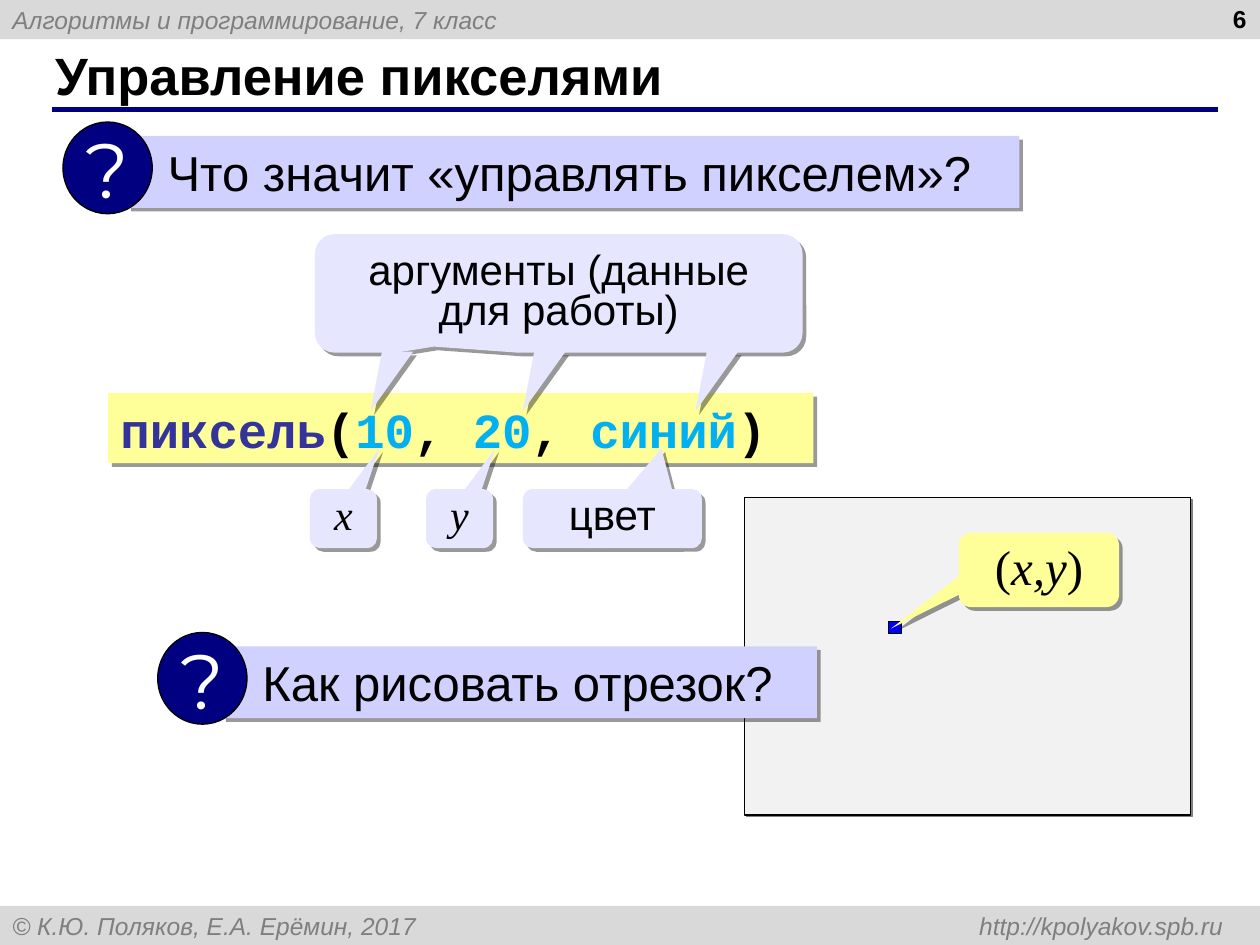
from lxml import etree
from pptx import Presentation
from pptx.dml.color import RGBColor
from pptx.enum.shapes import MSO_CONNECTOR, MSO_SHAPE
from pptx.enum.text import MSO_ANCHOR, PP_ALIGN
from pptx.oxml.ns import qn
from pptx.util import Cm, Pt

RECT, OVAL = MSO_SHAPE.RECTANGLE, MSO_SHAPE.OVAL
CALLOUT = MSO_SHAPE.ROUNDED_RECTANGULAR_CALLOUT
TOP, MIDDLE = MSO_ANCHOR.TOP, MSO_ANCHOR.MIDDLE
LEFT, CENTER, RIGHT = PP_ALIGN.LEFT, PP_ALIGN.CENTER, PP_ALIGN.RIGHT

BLACK, WHITE = RGBColor(0, 0, 0), RGBColor(255, 255, 255)
BAND, GREY = RGBColor(0xD9, 0xD9, 0xD9), RGBColor(0x7F, 0x7F, 0x7F)
NAVY, BLUE = RGBColor(0, 0, 0x80), RGBColor(0, 0, 0xFF)
LILAC, PALE = RGBColor(0xD1, 0xD1, 0xFF), RGBColor(0xE6, 0xE6, 0xFF)
YELLOW, SCREEN = RGBColor(0xFF, 0xFF, 0x99), RGBColor(0xF2, 0xF2, 0xF2)
COMMAND, VALUE = RGBColor(0x33, 0x33, 0x99), RGBColor(0, 0xB0, 0xF0)
SOFT = ("000000", 40, 3)        # shadow: colour, opacity in %, distance in pt
HARD = ("808080", 100, 1.4)
SANS, SERIF, MONO = "Arial", "Times New Roman", "Courier New"

# Lengths are in centimetres
WIDTH, HEIGHT, BAND_HEIGHT = 25.4, 19.05, 0.79
HEADER = "Алгоритмы и программирование, 7 класс"
FOOTER = "© К.Ю. Поляков, Е.А. Ерёмин, 2017 \thttp://kpolyakov.spb.ru"
TITLE, NUMBER = "Управление пикселями", "6"
FOOTER_TAB = 24.41

# text, left and top of the badge, width of the bar
QUESTIONS = [("Что значит «управлять пикселем»?", 1.27, 2.46, 17.98),
             ("Как рисовать отрезок?", 3.18, 12.75, 11.99)]
CODE = [("пиксель", COMMAND), ("(", BLACK), ("10", VALUE), (", ", BLACK),
        ("20", VALUE), (", ", BLACK), ("синий", VALUE), (")", BLACK)]
ARGUMENTS = "аргументы (данные для работы)"
POINTER_LEFTS = [7.47, 10.54, 14.02]
# text, left, width, tip, font, italic
LABELS = [("x", 6.25, 1.35, 0.537, SERIF, True),
          ("y", 8.59, 1.35, 0.537, SERIF, True),
          ("цвет", 10.54, 3.61, 0.274, SANS, False)]
POINT = [("(", False), ("x,y", True), (")", False)]


def paint(sp, fill, line=None, shadow=None):
    """Set fill, line as (colour, pt) and shadow of a shape."""
    sp.fill.solid()
    sp.fill.fore_color.rgb = fill
    if line:
        sp.line.color.rgb, sp.line.width = line[0], Pt(line[1])
    else:
        sp.line.fill.background()
    sp.shadow.inherit = False
    if shadow:
        color, opacity, distance = shadow
        effects = sp._element.spPr.find(qn("a:effectLst"))
        outer = etree.SubElement(effects, qn("a:outerShdw"), dist=str(Pt(distance)),
                                 dir="2700000", algn="ctr", rotWithShape="0")
        clr = etree.SubElement(outer, qn("a:srgbClr"), val=color)
        etree.SubElement(clr, qn("a:alpha"), val=str(opacity * 1000))


def add_box(s, kind, box, fill, line=None, shadow=None, tip=None):
    sp = s.shapes.add_shape(kind, *map(Cm, box))
    paint(sp, fill, line, shadow)
    if tip:
        sp.adjustments[0], sp.adjustments[1] = tip
    return sp


def write(sp, runs, size, font=SANS, align=LEFT, anchor=MIDDLE, spacing=None):
    """Write runs given as (text, colour, bold, italic)."""
    tf = sp.text_frame
    tf.word_wrap = True
    tf.vertical_anchor = anchor
    p = tf.paragraphs[0]
    p.alignment = align
    if spacing:
        p.line_spacing = spacing
    for text, color, bold, italic in runs:
        r = p.add_run()
        r.text = text
        r.font.name, r.font.size = font, Pt(size)
        r.font.bold, r.font.italic = bold, italic
        r.font.color.rgb = color
    return tf


def add_band(s, top, text):
    sp = add_box(s, RECT, (0, top, WIDTH, BAND_HEIGHT), BAND)
    return write(sp, [(text, GREY, False, True)], 14)


def add_question(s, text, left, top, width):
    bar = add_box(s, RECT, (left + 1.3, top + 0.28, width, 1.45), LILAC, shadow=SOFT)
    tf = write(bar, [(text, BLACK, False, False)], 28, anchor=TOP)
    tf.margin_left = Cm(0.81)
    badge = add_box(s, OVAL, (left, top, 1.8, 1.85), NAVY, (BLACK, 0.75))
    tf = write(badge, [("?", WHITE, False, False)], 44, "Montserrat", CENTER)
    tf.word_wrap = False


def add_pointer(s, left, top=7.09):
    builder = s.shapes.build_freeform(Cm(left + 0.23), Cm(top))
    builder.add_line_segments([(Cm(left), Cm(top + 1.2)), (Cm(left + 0.86), Cm(top))])
    paint(builder.convert_to_shape(), PALE, shadow=SOFT)


prs = Presentation()
prs.slide_width, prs.slide_height = Cm(WIDTH), Cm(HEIGHT)
s = prs.slides.add_slide(prs.slide_layouts[6])

add_band(s, 0, HEADER)
footer = add_band(s, HEIGHT - BAND_HEIGHT, FOOTER)
tabs = etree.SubElement(footer.paragraphs[0]._p.get_or_add_pPr(), qn("a:tabLst"))
etree.SubElement(tabs, qn("a:tab"), pos=str(Cm(FOOTER_TAB)), algn="r")

rule = s.shapes.add_connector(MSO_CONNECTOR.STRAIGHT,
                              Cm(1.04), Cm(2.21), Cm(24.56), Cm(2.21))
rule.line.color.rgb, rule.line.width = NAVY, Pt(3)
etree.SubElement(rule._element.spPr, qn("a:effectLst"))

title = s.shapes.add_textbox(Cm(0.86), Cm(0.84), Cm(23.27), Cm(1.32))
write(title, [(TITLE, BLACK, True, False)], 30)
number = s.shapes.add_textbox(Cm(19.46), Cm(-0.05), Cm(5.92), Cm(1.32))
write(number, [(NUMBER, BLACK, True, False)], 14, align=RIGHT, anchor=TOP)

add_question(s, *QUESTIONS[0])

code = add_box(s, RECT, (2.18, 7.92, 14.22, 1.42), YELLOW, shadow=SOFT)
write(code, [(text, color, True, False) for text, color in CODE], 28, MONO, anchor=TOP)

arguments = add_box(s, CALLOUT, (6.35, 4.72, 9.83, 2.39), PALE, shadow=SOFT,
                    tip=(-0.256, 0.449))
write(arguments, [(ARGUMENTS, BLACK, False, False)], 24, align=CENTER, spacing=0.8)
for left in POINTER_LEFTS:
    add_pointer(s, left)

add_box(s, RECT, (15.01, 10.03, 8.99, 6.4), SCREEN, (BLACK, 0.75), HARD)
add_box(s, RECT, (17.91, 12.52, 0.25, 0.25), BLUE, (BLACK, 0.25))
point = add_box(s, CALLOUT, (19.33, 10.74, 3.23, 1.5), YELLOW, shadow=SOFT,
                tip=(-0.922, 0.786))
tf = write(point, [(text, BLACK, False, italic) for text, italic in POINT], 28,
           SERIF, CENTER, TOP)
tf.margin_left = tf.margin_top = tf.margin_right = tf.margin_bottom = 0

for text, left, width, tip, font, italic in LABELS:
    label = add_box(s, CALLOUT, (left, 9.86, width, 1.19), PALE, shadow=SOFT,
                    tip=(tip, -1.19))
    write(label, [(text, BLACK, False, italic)], 24, font, CENTER, spacing=0.8)

add_question(s, *QUESTIONS[1])

prs.save("out.pptx")
